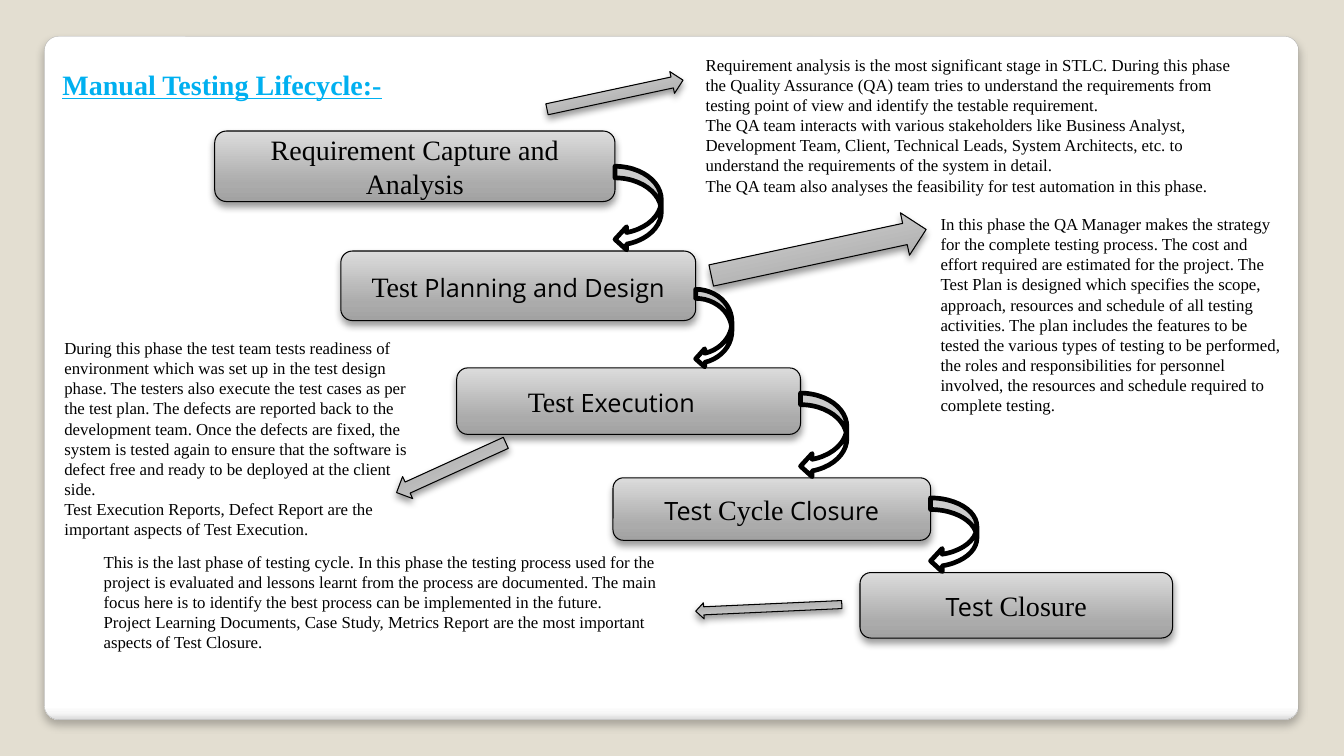
from lxml import etree
from pptx import Presentation
from pptx.dml.color import RGBColor
from pptx.enum.shapes import MSO_SHAPE
from pptx.enum.text import MSO_ANCHOR, PP_ALIGN
from pptx.oxml.ns import qn
from pptx.util import Inches, Pt

BEIGE = RGBColor(0xE3, 0xDE, 0xD1)
WHITE = RGBColor(0xFF, 0xFF, 0xFF)
PALE = RGBColor(0xF7, 0xF7, 0xF7)
EDGE = RGBColor(0xDA, 0xDA, 0xDA)
BORDER = RGBColor(0xA4, 0xA4, 0xA4)
DARK_GREY = RGBColor(0xA2, 0xA2, 0xA2)
MID_GREY = RGBColor(0xAB, 0xAB, 0xAB)
LIGHT_GREY = RGBColor(0xDC, 0xDC, 0xDC)
BLACK = RGBColor(0, 0, 0)
SKY = RGBColor(0x00, 0xB0, 0xF0)

SERIF, SANS = "Times New Roman", "Open Sans"
METAL = [(0, DARK_GREY), (25, MID_GREY), (100, LIGHT_GREY)]
PAPER = [(0, WHITE), (98, WHITE), (99, PALE), (100, EDGE)]

STEPS = [
    ((2.13, 1.3, 3.97, 0.7), [("Requirement Capture and Analysis", SERIF)]),
    ((3.38, 2.49, 3.52, 0.69), [("Test", SERIF), (" Planning and Design", SANS)]),
    ((4.53, 3.65, 3.41, 0.66), [("Test", SERIF), (" Execution\t", SANS)]),
    ((6.08, 4.74, 3.15, 0.62), [("Test ", SANS), ("Cycle", SERIF), (" Closure", SANS)]),
    ((8.53, 5.68, 3.1, 0.65), [("Test ", SANS), ("Closure", SERIF)]),
]
TURN_SIZES = [(0.46, 0.84), (0.36, 0.78), (0.46, 0.84), (0.46, 0.74)]
NOTES = [
    ((6.9, 0.49, 5.61, 1.51), [
        "Requirement analysis is the most significant stage in STLC. During this phase "
        "the Quality Assurance (QA) team tries to understand the requirements from "
        "testing point of view and identify the testable requirement.",
        "The QA team interacts with various stakeholders like Business Analyst, "
        "Development Team, Client, Technical Leads, System Architects, etc. to "
        "understand the requirements of the system in detail.",
        "The QA team also analyses the feasibility for test automation in this phase."]),
    ((9.23, 2.07, 3.62, 2.12), [
        "In this phase the QA Manager makes the strategy for the complete testing "
        "process. The cost and effort required are estimated for the project. The Test "
        "Plan is designed which specifies the scope, approach, resources and schedule "
        "of all testing activities. The plan includes the features to be tested the "
        "various types of testing to be performed, the roles and responsibilities for "
        "personnel involved, the resources and schedule required to complete testing."]),
    ((0.54, 3.3, 3.79, 2.12), [
        "During this phase the test team tests readiness of environment which was set "
        "up in the test design phase. The testers also execute the test cases as per "
        "the test plan. The defects are reported back to the development team. Once "
        "the defects are fixed, the system is tested again to ensure that the software "
        "is defect free and ready to be deployed at the client side.",
        "Test Execution Reports, Defect Report are the important aspects of Test "
        "Execution."]),
    ((0.93, 5.42, 5.9, 1.11), [
        "This is the last phase of testing cycle. In this phase the testing process "
        "used for the project is evaluated and lessons learnt from the process are "
        "documented. The main focus here is to identify the best process can be "
        "implemented in the future.",
        "Project Learning Documents, Case Study, Metrics Report are the most important "
        "aspects of Test Closure."]),
]
POINTERS = [
    ((5.41, 0.83, 1.38, 0.22), 347.9),
    ((7.03, 2.29, 2.18, 0.43), 347.9),
    ((6.9, 5.95, 1.45, 0.16), 177.4),
    ((3.88, 4.52, 1.19, 0.24), 155.5),
]


def add_preset(slide, preset, box, line_color, line_width):
    shape = slide.shapes.add_shape(preset, *map(Inches, box))
    shape.shadow.inherit = False
    shape.line.color.rgb = line_color
    shape.line.width = Pt(line_width)
    return shape


def fill_gradient(shape, stops, angle):
    shape.fill.gradient()
    shape.fill.gradient_angle = angle
    stop_list = shape.element.spPr.find(".//" + qn("a:gsLst"))
    for old in list(stop_list):
        stop_list.remove(old)
    for position, color in stops:
        stop = etree.SubElement(stop_list, qn("a:gs"), pos=str(position * 1000))
        etree.SubElement(stop, qn("a:srgbClr"), val=str(color))


def add_shadow(shape, opacity, blur, distance):
    effects = shape.element.spPr.find(qn("a:effectLst"))
    shadow = etree.SubElement(
        effects, qn("a:outerShdw"), blurRad=str(Pt(blur)), dist=str(Pt(distance)),
        dir="5400000", algn="t", rotWithShape="0")
    color = etree.SubElement(shadow, qn("a:srgbClr"), val=str(BLACK))
    etree.SubElement(color, qn("a:alpha"), val=str(opacity * 1000))


def add_run(paragraph, text, font, size, color=BLACK):
    run = paragraph.add_run()
    run.text = text
    run.font.name = font
    run.font.size = Pt(size)
    run.font.color.rgb = color
    return run


def add_metal(slide, preset, box):
    shape = add_preset(slide, preset, box, BLACK, 0.75)
    fill_gradient(shape, METAL, 90)
    add_shadow(shape, 40, 5.2, 3)
    return shape


def add_card(slide, box):
    card = add_preset(slide, MSO_SHAPE.ROUNDED_RECTANGLE, box, BORDER, 0.16)
    card.adjustments[0] = 0.021
    fill_gradient(card, PAPER, 270)
    add_shadow(card, 25, 6, 4)


def add_text_frame(slide, box):
    frame = slide.shapes.add_textbox(*map(Inches, box)).text_frame
    frame.word_wrap = True
    return frame


def add_title(slide, box):
    paragraph = add_text_frame(slide, box).paragraphs[0]
    run = add_run(paragraph, "Manual Testing Lifecycle:-", SERIF, 20, SKY)
    run.font.bold = True
    run.font.underline = True


def add_step(slide, box, label):
    frame = add_metal(slide, MSO_SHAPE.ROUNDED_RECTANGLE, box).text_frame
    frame.vertical_anchor = MSO_ANCHOR.MIDDLE
    frame.paragraphs[0].alignment = PP_ALIGN.CENTER
    for text, font in label:
        add_run(frame.paragraphs[0], text, font, 20 if font == SERIF else 18)


def add_turn(slide, step_box, next_box, size):
    left, _, step_width, _ = step_box
    width, height = size
    box = (left + step_width, next_box[1] - height, width, height)
    turn = add_preset(slide, MSO_SHAPE.CURVED_LEFT_ARROW, box, BLACK, 3.35)
    turn.fill.solid()
    turn.fill.fore_color.rgb = WHITE


def add_note(slide, box, texts):
    frame = add_text_frame(slide, box)
    for index, text in enumerate(texts):
        paragraph = frame.add_paragraph() if index else frame.paragraphs[0]
        add_run(paragraph, text, SERIF, 12)


def add_lifecycle(slide):
    add_card(slide, (0.44, 0.36, 12.44, 6.78))
    add_title(slide, (0.52, 0.62, 10.28, 0.44))
    for box, label in STEPS:
        add_step(slide, box, label)
    for (box, _), (next_box, _), size in zip(STEPS, STEPS[1:], TURN_SIZES):
        add_turn(slide, box, next_box, size)
    for box, texts in NOTES:
        add_note(slide, box, texts)
    for box, angle in POINTERS:
        add_metal(slide, MSO_SHAPE.RIGHT_ARROW, box).rotation = angle


deck = Presentation()
deck.slide_width, deck.slide_height = Inches(13.33), Inches(7.5)
page = deck.slides.add_slide(deck.slide_layouts[6])
page.background.fill.solid()
page.background.fill.fore_color.rgb = BEIGE
add_lifecycle(page)
deck.save("out.pptx")
